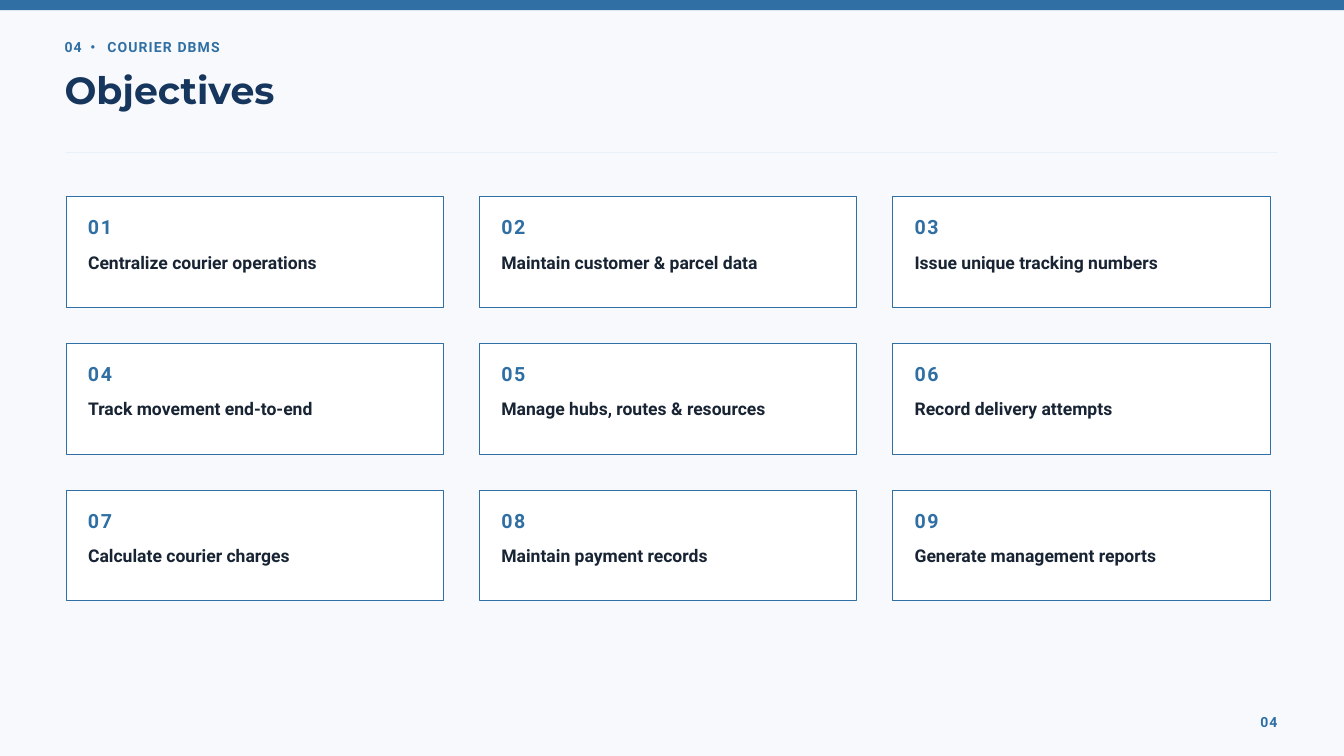
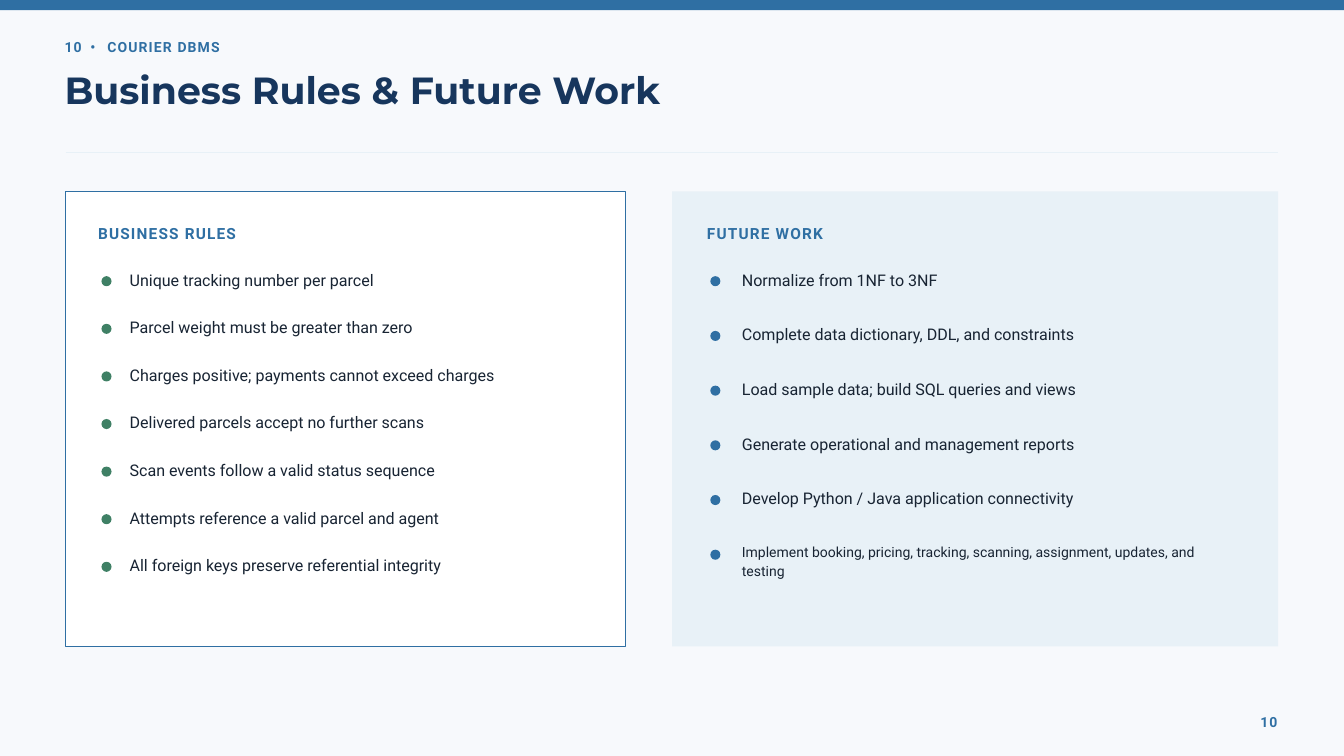
from lxml import etree
from pptx import Presentation
from pptx.dml.color import RGBColor
from pptx.enum import shapes, text
from pptx.oxml import ns
from pptx.util import Inches, Pt

BLUE = RGBColor(0x2F, 0x6F, 0xA3)
NAVY = RGBColor(0x17, 0x36, 0x5D)
INK = RGBColor(0x18, 0x24, 0x33)
GREEN = RGBColor(0x3F, 0x80, 0x65)
PALE = RGBColor(0xE8, 0xF1, 0xF7)
PAPER = RGBColor(0xF7, 0xF9, 0xFC)
WHITE = RGBColor(0xFF, 0xFF, 0xFF)
RECT = shapes.MSO_SHAPE.RECTANGLE
OVAL = shapes.MSO_SHAPE.OVAL
LEFT, RIGHT = 0.98, 19.02


def add_box(s, kind, x, y, w, h, fill, line=None):
    sp = s.shapes.add_shape(kind, Inches(x), Inches(y), Inches(w), Inches(h))
    sp.shadow.inherit = False
    sp.fill.solid()
    sp.fill.fore_color.rgb = fill
    if line is None:
        sp.line.fill.background()
    else:
        sp.line.color.rgb = line
        sp.line.width = Pt(0.75)


def write(sp, x, y, w, h, runs, size, color, bold=True, font="Roboto",
          leading=1.4, align=text.PP_ALIGN.LEFT):
    """Place a text shape and fill it with (words, letter spacing) runs."""
    sp.left, sp.top, sp.width, sp.height = (Inches(v) for v in (x, y, w, h))
    tf = sp.text_frame
    tf.word_wrap = True
    tf.auto_size = text.MSO_AUTO_SIZE.NONE
    tf.vertical_anchor = text.MSO_ANCHOR.TOP
    tf.margin_left = tf.margin_top = tf.margin_right = tf.margin_bottom = 0
    p = tf.paragraphs[0]
    p.alignment = align
    p.line_spacing = Pt(round(size * leading, 1))
    p.font.name, p.font.size, p.font.bold = font, Pt(size), bold
    p.font.color.rgb = color
    for words, spacing in runs:
        r = p.add_run()
        r.text = words
        if spacing:
            r.font._element.set("spc", str(round(spacing * 100)))


prs = Presentation()
prs.slide_width, prs.slide_height = Inches(20), Inches(11.25)
fill = prs.slide_master.background.fill
fill.solid()
fill.fore_color.rgb = PAPER

# Shared frame: top band, section label, title, rule, page number
slides = []
for number, title in (("04", "Objectives"), ("10", "Business Rules & Future Work")):
    s = prs.slides.add_slide(prs.slide_layouts[5])
    slides.append(s)
    add_box(s, RECT, 0, 0, 20, 0.15, BLUE)
    write(s.shapes.add_textbox(0, 0, 0, 0), 0.96, 0.53, 5.42, 0.28,
          [(number, 1.2), (" • ", 4.5), ("COURIER DBMS", 1.2)], 15, BLUE)
    write(s.shapes.title, 0.96, 1.05, 15.1, 0.62, [(title, 0)], 40.5, NAVY,
          font="Montserrat", leading=1.1)
    rule = s.shapes.add_connector(shapes.MSO_CONNECTOR.STRAIGHT, Inches(LEFT),
                                  Inches(2.27), Inches(RIGHT), Inches(2.27))
    rule.line.color.rgb = PALE
    rule.line.width = Pt(1.5)
    etree.SubElement(rule._element.spPr, ns.qn("a:effectLst"))
    write(s.shapes.add_textbox(0, 0, 0, 0), 18.12, 10.57, 0.89, 0.28,
          [(number, 1.2)], 15, BLUE, align=text.PP_ALIGN.RIGHT)
objectives, rules = slides

# Objectives: three by three cards
goals = [
    "Centralize courier operations",
    "Maintain customer & parcel data",
    "Issue unique tracking numbers",
    "Track movement end-to-end",
    "Manage hubs, routes & resources",
    "Record delivery attempts",
    "Calculate courier charges",
    "Maintain payment records",
    "Generate management reports",
]
card_w, card_h, card_top = 5.62, 1.65, 2.92
step_x = (18.9 - LEFT - card_w) / 2
step_y = (8.94 - card_top - card_h) / 2
for i, goal in enumerate(goals):
    row, col = divmod(i, 3)
    x, y = LEFT + col * step_x, card_top + row * step_y
    add_box(objectives, RECT, x, y, card_w, card_h, WHITE, BLUE)
    write(objectives.shapes.add_textbox(0, 0, 0, 0), x + 0.33, y + 0.22, 1.04, 0.39,
          [(f"{i + 1:02}", 1.7)], 21, BLUE)
    write(objectives.shapes.add_textbox(0, 0, 0, 0), x + 0.33, y + 0.77, 5.21, 0.35,
          [(goal, 0)], 18.8, INK)

# Business rules and future work: two panels with dotted lists
business = [
    "Unique tracking number per parcel",
    "Parcel weight must be greater than zero",
    "Charges positive; payments cannot exceed charges",
    "Delivered parcels accept no further scans",
    "Scan events follow a valid status sequence",
    "Attempts reference a valid parcel and agent",
    "All foreign keys preserve referential integrity",
]
future = [
    "Normalize from 1NF to 3NF",
    "Complete data dictionary, DDL, and constraints",
    "Load sample data; build SQL queries and views",
    "Generate operational and management reports",
    "Develop Python / Java application connectivity",
    "Implement booking, pricing, tracking, scanning, assignment, updates, and testing",
]
# heading, items, panel left and width, fill, outline, dot colour,
# heading left, item left and width, list span
panels = [
    ("BUSINESS RULES", business, LEFT, 8.33, WHITE, BLUE, GREEN, 1.46, 1.93, 6.67, 4.25),
    ("FUTURE WORK", future, 10, 9.02, PALE, None, BLUE, 10.52, 11.04, 7.19, 4.07),
]
for heading, items, x, w, color, outline, dot, head_x, item_x, item_w, span in panels:
    add_box(rules, RECT, x, 2.85, w, 6.77, color, outline)
    write(rules.shapes.add_textbox(0, 0, 0, 0), head_x, 3.29, 6.77, 0.31,
          [(heading, 1.3)], 16.5, BLUE)
    for i, item in enumerate(items):
        y = 3.97 + i * span / (len(items) - 1)
        size = 15 if len(item) > 60 else 17.2  # the long item is set smaller
        add_box(rules, OVAL, head_x + 0.05, y + 0.14, 0.15, 0.15, dot)
        write(rules.shapes.add_textbox(0, 0, 0, 0), item_x, y, item_w, 0.33,
              [(item, 0)], size, INK, bold=False)

prs.save("out.pptx")
